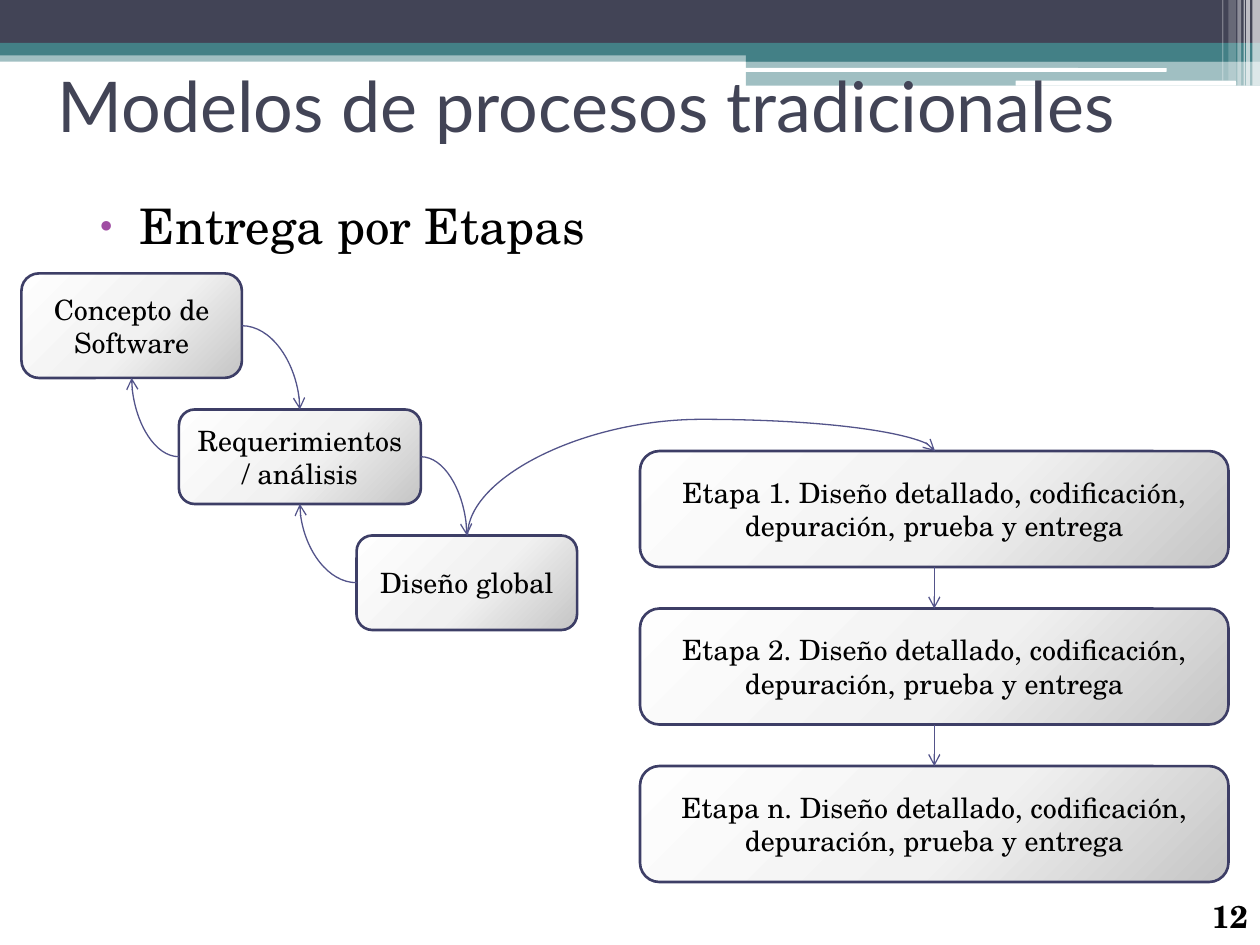
from dataclasses import dataclass
from typing import NamedTuple

from lxml import etree
from pptx import Presentation
from pptx.dml.color import RGBColor
from pptx.enum.shapes import MSO_CONNECTOR, MSO_SHAPE
from pptx.enum.text import MSO_ANCHOR, PP_ALIGN
from pptx.oxml import parse_xml
from pptx.oxml.ns import nsdecls, qn
from pptx.util import Inches, Pt

RECT, ROUND = MSO_SHAPE.RECTANGLE, MSO_SHAPE.ROUNDED_RECTANGLE
CURVE, LINE = MSO_CONNECTOR.CURVE, MSO_CONNECTOR.STRAIGHT
LEFT, CENTER = PP_ALIGN.LEFT, PP_ALIGN.CENTER
TOP, MIDDLE = MSO_ANCHOR.TOP, MSO_ANCHOR.MIDDLE
NORTH, WEST, SOUTH, EAST = range(4)


@dataclass(frozen=True)
class Theme:
    """Colours, fonts and type sizes."""
    dark: str = "424456"
    teal: str = "438086"
    white: str = "FFFFFF"
    black: str = "000000"
    bullet: str = "A04DA3"
    edge: str = "3D3E66"
    arrow: str = "53548A"
    shades: tuple = ((0, "FEFEFE"), (55, "F1F1F1"), (100, "C5C5C5"))
    head: str = "Lato"
    body: str = "TeX Gyre Schola"
    title: int = 40
    list: int = 28
    page: int = 18
    node: int = 16


class Band(NamedTuple):
    """A strip of the header; alpha is in percent."""
    left: float
    top: float
    width: float
    height: float
    color: str
    alpha: int = 100
    kind: int = RECT


class Node(NamedTuple):
    """A step of the process."""
    left: float
    top: float
    width: float
    height: float
    text: str


class Link(NamedTuple):
    """An arrow between sides of two nodes."""
    start: int
    exit: int
    end: int
    entry: int
    kind: int = CURVE


THEME = Theme()
BANDS = [
    Band(0, 0.4, 10, 0.09, THEME.teal, 50),
    Band(0, 0, 10, 0.34, THEME.dark),
    Band(0, 0.34, 10, 0.1, THEME.teal),
    Band(5.92, 0.39, 4.08, 0.1, THEME.teal),
    Band(5.92, 0.48, 4.08, 0.2, THEME.teal, 50),
    Band(5.91, 0.54, 3.35, 0.03, THEME.white, kind=ROUND),
    Band(8.06, 0.64, 1.75, 0.04, THEME.white, kind=ROUND),
] + [Band(left, 0, width, height, THEME.white, alpha)
     for left, width, height, alpha in (
         (9.94, 0.06, 0.68, 65), (9.89, 0.03, 0.68, 65),
         (9.87, 0.01, 0.68, 60), (9.82, 0.03, 0.68, 40),
         (9.75, 0.06, 0.64, 20), (9.7, 0.01, 0.64, 30))]
NODES = [
    Node(0.17, 2.17, 1.75, 0.83, "Concepto de Software"),
    Node(1.42, 3.25, 1.92, 0.75, "Requerimientos / análisis"),
    Node(2.83, 4.25, 1.75, 0.75, "Diseño global"),
] + [Node(5.08, 3.58 + 1.25 * i, 4.67, 0.92,
          f"Etapa {name}. Diseño detallado, codificación, "
          "depuración, prueba y entrega")
     for i, name in enumerate("12n")]
LINKS = [
    Link(0, EAST, 1, NORTH),
    Link(1, EAST, 2, NORTH),
    Link(2, WEST, 1, SOUTH),
    Link(1, WEST, 0, SOUTH),
    Link(3, SOUTH, 4, NORTH, LINE),
    Link(4, SOUTH, 5, NORTH, LINE),
]


def place(shape, left: float, top: float, width: float, height: float) -> None:
    """Set the frame of a shape in inches."""
    shape.left, shape.top = Inches(left), Inches(top)
    shape.width, shape.height = Inches(width), Inches(height)


def write(shape, text: str, size: int, color: str, font: str = THEME.body,
          align: int = LEFT, anchor: int = TOP, bold: bool = False) -> None:
    """Fill a shape with one styled paragraph."""
    frame = shape.text_frame
    frame.text = text
    frame.vertical_anchor = anchor
    line = frame.paragraphs[0]
    line.alignment = align
    face = line.runs[0].font
    face.name, face.size, face.bold = font, Pt(size), bold
    face.color.rgb = RGBColor.from_string(color)


def draw_band(slide, band: Band) -> None:
    """Draw one header strip."""
    shape = slide.shapes.add_shape(band.kind, *map(Inches, band[:4]))
    shape.shadow.inherit = False
    shape.line.fill.background()
    shape.fill.solid()
    shape.fill.fore_color.rgb = RGBColor.from_string(band.color)
    if band.alpha < 100:
        tint = shape.element.spPr.find(qn("a:solidFill"))[0]
        etree.SubElement(tint, qn("a:alpha"), val=str(band.alpha * 1000))


def shade(shape) -> None:
    """Give a shape the round gradient."""
    stops = "".join(f'<a:gs pos="{pos * 1000}"><a:srgbClr val="{color}"/></a:gs>'
                    for pos, color in THEME.shades)
    grad = parse_xml(
        f'<a:gradFill {nsdecls("a")} rotWithShape="1"><a:gsLst>{stops}</a:gsLst>'
        '<a:path path="circle"><a:fillToRect l="-40000" t="-90000" '
        'r="140000" b="190000"/></a:path></a:gradFill>')
    shape.element.spPr.find(qn("a:prstGeom")).addnext(grad)


def draw_node(slide, node: Node):
    """Draw one step and return its shape."""
    shape = slide.shapes.add_shape(ROUND, *map(Inches, node[:4]))
    shape.shadow.inherit = False
    shade(shape)
    shape.line.color.rgb = RGBColor.from_string(THEME.edge)
    shape.line.width = Pt(1.5)
    shape.text_frame.word_wrap = True
    write(shape, node.text, THEME.node, THEME.black, align=CENTER, anchor=MIDDLE)
    return shape


def draw_link(slide, boxes: list, link: Link):
    """Join two steps with an arrow."""
    wire = slide.shapes.add_connector(link.kind, 0, 0, 0, 0)
    wire.begin_connect(boxes[link.start], link.exit)
    wire.end_connect(boxes[link.end], link.entry)
    wire.line.color.rgb = RGBColor.from_string(THEME.arrow)
    wire.line.width = Pt(0.75)
    props = wire.element.spPr
    etree.SubElement(props.find(qn("a:ln")), qn("a:tailEnd"), type="arrow")
    etree.SubElement(props, qn("a:effectLst"))
    if link.kind == CURVE:
        props.find(qn("a:prstGeom")).set("prst", "curvedConnector2")
    return wire


def draw_arch(slide, boxes: list) -> None:
    """Join the global design to the first stage with a high arc."""
    wire = draw_link(slide, boxes, Link(2, NORTH, 3, NORTH))
    place(wire, 5.23, 2.06, 0.67, 3.71)
    props = wire.element.spPr
    frame = props.find(qn("a:xfrm"))
    for key, value in (("rot", "5400000"), ("flipH", "1"), ("flipV", "1")):
        frame.set(key, value)
    geom = props.find(qn("a:prstGeom"))
    geom.set("prst", "curvedConnector3")
    geom.find(qn("a:avLst")).append(parse_xml(
        f'<a:gd {nsdecls("a")} name="adj1" fmla="val 137500"/>'))


def add_bullet(line) -> None:
    """Give a paragraph its indent and small dot."""
    line.space_before = Pt(3)
    props = line._p.get_or_add_pPr()
    props.set("marL", str(Inches(0.43)))
    props.set("indent", str(Inches(-0.32)))
    tint = etree.SubElement(props, qn("a:buClr"))
    etree.SubElement(tint, qn("a:srgbClr"), val=THEME.bullet)
    etree.SubElement(props, qn("a:buSzPct"), val="45000")
    etree.SubElement(props, qn("a:buChar"), char="●")


def main() -> None:
    """Build and save the slide."""
    deck = Presentation()
    deck.slide_width, deck.slide_height = Inches(10), Inches(7.5)
    slide = deck.slides.add_slide(deck.slide_layouts[1])
    title, body = slide.placeholders
    for band in BANDS:
        draw_band(slide, band)
    for holder in (title, body):
        holder.element.getparent().append(holder.element)
    place(title, 0.36, 0.09, 9.29, 1.48)
    write(title, "Modelos de procesos tradicionales", THEME.title, THEME.dark,
          THEME.head, anchor=MIDDLE)
    place(body, 0.58, 1.5, 8.75, 4.86)
    write(body, "Entrega por Etapas", THEME.list, THEME.black)
    add_bullet(body.text_frame.paragraphs[0])
    page = slide.shapes.add_textbox(*map(Inches, (9.52, 7.07, 1.28, 0.43)))
    page.text_frame.word_wrap = False
    write(page, "12", THEME.page, THEME.black, bold=True)
    boxes = [draw_node(slide, node) for node in NODES]
    for link in LINKS:
        draw_link(slide, boxes, link)
    draw_arch(slide, boxes)
    deck.save("out.pptx")


main()
